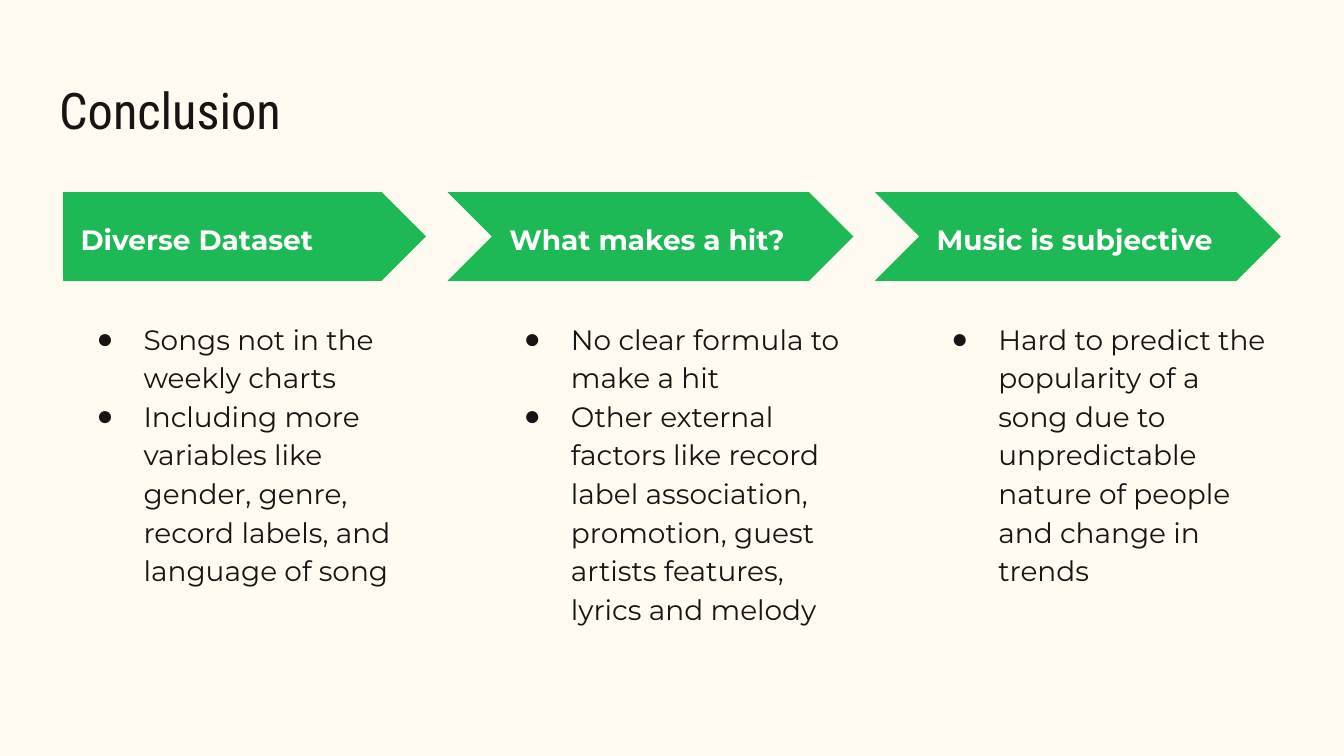
"""Build the Conclusion slide: three arrow headings, each above its bulleted points."""
from dataclasses import dataclass

from lxml import etree
from pptx import Presentation
from pptx.dml.color import RGBColor
from pptx.enum.shapes import MSO_SHAPE
from pptx.enum.text import MSO_ANCHOR, MSO_AUTO_SIZE, PP_ALIGN
from pptx.oxml.ns import qn
from pptx.util import Inches, Pt

PENTAGON, CHEVRON = MSO_SHAPE.PENTAGON, MSO_SHAPE.CHEVRON
TOP, MIDDLE = MSO_ANCHOR.TOP, MSO_ANCHOR.MIDDLE
LEFT, NO_AUTOFIT = PP_ALIGN.LEFT, MSO_AUTO_SIZE.NONE


@dataclass(frozen=True)
class Theme:
    """Colours, fonts and type sizes of the slide."""
    paper: str = "FFFBF0"
    ink: str = "191414"
    accent: str = "1DB954"
    white: str = "FFFFFF"
    title_font: str = "Roboto Condensed"
    body_font: str = "Montserrat"
    bullet_font: str = "Arial"
    title_size: int = 27
    body_size: int = 15


theme = Theme()


def write(box, lines, *, font=theme.body_font, size=theme.body_size, color=theme.ink,
          bold=False, anchor=TOP, inset=0.1, spacing=1.15, after=0, bullet=None):
    """Fill a shape with one paragraph per line in the given format."""
    frame = box.text_frame
    frame.word_wrap = True
    frame.auto_size = NO_AUTOFIT
    frame.vertical_anchor = anchor
    frame.margin_left = frame.margin_right = Inches(inset)
    frame.margin_top = frame.margin_bottom = Inches(inset)
    for index, line in enumerate(lines):
        para = frame.add_paragraph() if index else frame.paragraphs[0]
        if bullet:
            properties = para._p.get_or_add_pPr()
            properties.set("marL", str(Inches(0.5)))
            properties.set("indent", str(Inches(-0.35)))
            tint = etree.SubElement(properties, qn("a:buClr"))
            etree.SubElement(tint, qn("a:srgbClr"), val=color)
            etree.SubElement(properties, qn("a:buFont"), typeface=theme.bullet_font)
            etree.SubElement(properties, qn("a:buChar"), char=bullet)
        para.alignment = LEFT
        para.line_spacing = spacing
        para.space_before = Pt(0)
        para.space_after = Pt(after)
        span = para.add_run()
        span.text = line
        span.font.name = font
        span.font.size = Pt(size)
        span.font.bold = bold
        span.font.color.rgb = RGBColor.from_string(color)


columns = [
    ("Diverse Dataset", [
        "Songs not in the weekly charts",
        "Including more variables like gender, genre, record labels, and language of song",
    ]),
    ("What makes a hit?", [
        "No clear formula to make a hit",
        "Other external factors like record label association, promotion, guest artists "
        "features, lyrics and melody",
    ]),
    ("Music is subjective", [
        "Hard to predict the popularity of a song due to unpredictable nature of people "
        "and change in trends",
    ]),
]

deck = Presentation()
deck.slide_width = Inches(10)
deck.slide_height = deck.slide_width * 9 // 16
margin = Inches(0.47)
pitch = Inches(3.18)
column_width = Inches(2.7)
notch = Inches(0.32)
arrow_top, arrow_height = Inches(1.43), Inches(0.66)
body_top, body_height = Inches(2.26), Inches(2.9)

page = deck.slides.add_slide(deck.slide_layouts.get_by_name("Title Only"))
page.background.fill.solid()
page.background.fill.fore_color.rgb = RGBColor.from_string(theme.paper)

title = page.shapes.title
title.left, title.top = Inches(0.34), Inches(0.49)
title.width, title.height = deck.slide_width - 2 * title.left, Inches(0.67)
write(title, ["Conclusion"], font=theme.title_font, size=theme.title_size, spacing=1.0)

for number, (heading, points) in enumerate(columns):
    left = margin + number * pitch
    overlap = notch if number else 0
    arrow = page.shapes.add_shape(CHEVRON if number else PENTAGON, left - overlap, arrow_top,
                                  column_width + overlap, arrow_height)
    arrow.adjustments[0] = 0.5
    arrow.shadow.inherit = False
    arrow.fill.solid()
    arrow.fill.fore_color.rgb = RGBColor.from_string(theme.accent)
    arrow.line.fill.background()
    write(arrow, [heading], color=theme.white, bold=True, anchor=MIDDLE, inset=0.13, after=8)

    body = page.shapes.add_textbox(left, body_top, column_width, body_height)
    write(body, points, bullet="●")

deck.save("out.pptx")
